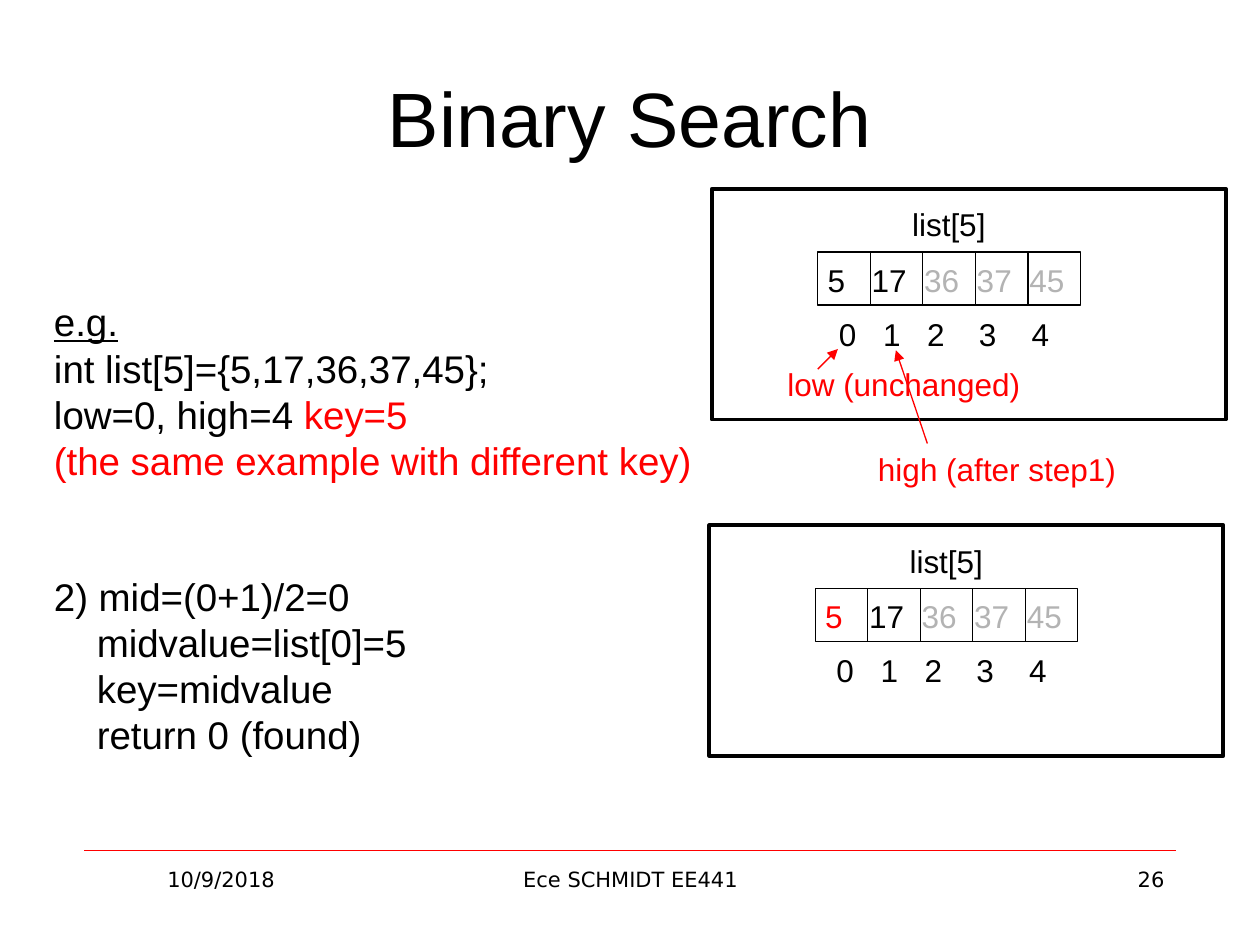
from dataclasses import dataclass

from lxml.etree import SubElement
from pptx import Presentation
from pptx.dml.color import RGBColor
from pptx.enum.shapes import MSO_CONNECTOR as Connector, MSO_SHAPE as Shape
from pptx.enum.text import MSO_ANCHOR as Anchor, PP_ALIGN as Align
from pptx.oxml.ns import qn
from pptx.util import Inches, Pt


@dataclass(frozen=True)
class Theme:
    black: str = "000000"
    red: str = "FF0000"
    gray: str = "B3B3B3"
    font: str = "Arial"
    footer_font: str = "DejaVu Sans"
    title: int = 44
    body: int = 22
    label: int = 18
    footer: int = 12


THEME = Theme()
CELL = 0.417


class SlideBuilder:
    def __init__(self, presentation, theme):
        self.theme = theme
        self.slide = presentation.slides.add_slide(presentation.slide_layouts[6])
        self.shapes = self.slide.shapes

    def start_group(self):
        self.shapes = self.slide.shapes.add_group_shape().shapes

    def text(self, box, paragraphs, size, font=None, anchor=Anchor.TOP, tabs=()):
        """Each paragraph is (runs, format values); each run is (text, font values)."""
        frame = self.shapes.add_textbox(*map(Inches, box)).text_frame
        frame.word_wrap = True
        frame.vertical_anchor = anchor
        for index, (runs, paragraph_format) in enumerate(paragraphs):
            paragraph = frame.paragraphs[0] if index == 0 else frame.add_paragraph()
            self.set_layout(paragraph, paragraph_format, tabs)
            for content, values in runs:
                run = paragraph.add_run()
                run.text = content
                style = {"name": font or self.theme.font, "size": Pt(size),
                         "color": self.theme.black} | values
                run.font.color.rgb = RGBColor.from_string(style.pop("color"))
                for name, value in style.items():
                    setattr(run.font, name, value)

    def set_layout(self, paragraph, values, tabs):
        properties = paragraph._p.get_or_add_pPr()
        values = dict(values)
        if "indent" in values:
            properties.set("marL", str(Inches(values.pop("indent"))))
        for name, value in values.items():
            setattr(paragraph, name, value)
        if tabs:
            tab_list = SubElement(properties, qn("a:tabLst"))
            for position in tabs:
                SubElement(tab_list, qn("a:tab"), pos=str(Inches(position)), algn="l")

    def label(self, box, content, color=THEME.black, tabs=()):
        self.text(box, [([(content, {"color": color})], {})], self.theme.label, tabs=tabs)

    def frame(self, box, width):
        shape = self.shapes.add_shape(Shape.RECTANGLE, *map(Inches, box))
        shape.shadow.inherit = False
        shape.fill.background()
        shape.line.color.rgb = RGBColor.from_string(self.theme.black)
        shape.line.width = Pt(width)

    def line(self, start, end, color, width=0.75, arrow=False):
        connector = self.shapes.add_connector(
            Connector.STRAIGHT, *map(Inches, (*start, *end)))
        connector.line.color.rgb = RGBColor.from_string(color)
        connector.line.width = Pt(width)
        if arrow:
            SubElement(connector.line._get_or_add_ln(), qn("a:tailEnd"), type="triangle")
        SubElement(connector._element.spPr, qn("a:effectLst"))

    def array_panel(self, left, top, first_color):
        """Draw a framed five-cell array with its name and indices."""
        theme = self.theme
        self.start_group()
        array_left, array_top = left + 0.84, top + 0.5
        self.frame((array_left, array_top, 5 * CELL, 0.42), 0.75)
        for column in range(1, 5):
            x = array_left + column * CELL
            self.line((x, array_top), (x, array_top + 0.42), theme.black)
        self.label((left + 1.49, top + 0.08, 0.92, 0.4), "list[5]")
        self.label((left + 0.91, top + 0.95, 1.98, 0.4), "0\t1\t2\t3\t4",
                   tabs=(0.35, 0.7, 1.11, 1.53))
        runs = [("5\t", {"color": first_color}), ("17\t", {}),
                ("36\t37\t45", {"color": theme.gray})]
        self.text((left + 0.82, top + 0.52, 2.14, 0.4), [(runs, {})], theme.label,
                  tabs=[0.35 + step * CELL for step in range(4)])
        self.frame((left, top, 4.08, 1.83), 2.25)


def body_paragraphs(theme):
    red = {"color": theme.red}
    lines = [
        ([("e.g.", {"underline": True})], {"space_before": Pt(0)}),
        ([("int list[5]={5,17,36,37,45};", {})], {}),
        ([("low=0, high=4 ", {}), ("key=5", red)], {}),
        ([("(the same example with different key)", red)], {}),
        ([("2) mid=(0+1)/2=0", {})], {"space_before": Pt(56.4)}),
    ]
    for step in ("midvalue=list[0]=5", "key=midvalue", "return 0 (found)"):
        lines.append(([(step, {})], {"indent": 0.34}))
    shared = {"line_spacing": 0.8, "space_before": Pt(5.3)}
    return [(runs, shared | values) for runs, values in lines]


def main():
    presentation = Presentation()
    presentation.slide_width, presentation.slide_height = Inches(10), Inches(7.5)
    theme = THEME
    builder = SlideBuilder(presentation, theme)

    builder.line((0.67, 6.75), (9.33, 6.75), theme.red, 0.25)
    builder.text((0.5, 0.3, 9, 1.25),
                 [([("Binary Search", {})], {"alignment": Align.CENTER})],
                 theme.title, anchor=Anchor.MIDDLE)
    for left, width, content, alignment in (
            (0.67, 2.17, "10/9/2018", Align.CENTER),
            (3.42, 3.17, "Ece SCHMIDT EE441", Align.CENTER),
            (7.17, 2.17, "26", Align.RIGHT)):
        builder.text((left, 6.83, width, 0.52),
                     [([(content, {})], {"alignment": alignment})],
                     theme.footer, theme.footer_font)
    builder.text((0.33, 2.39, 9.42, 4.61), body_paragraphs(theme), theme.body)

    builder.array_panel(5.65, 1.5, theme.black)
    builder.label((6.15, 2.85, 2.08, 0.4), "low (unchanged)", theme.red)
    builder.label((6.87, 3.52, 2.17, 0.4), "high (after step1)", theme.red)
    builder.line((6.49, 2.93), (6.65, 2.77), theme.red, arrow=True)
    builder.line((7.36, 3.52), (7.11, 2.78), theme.red, arrow=True)
    builder.array_panel(5.63, 4.17, theme.red)

    presentation.save("out.pptx")


if __name__ == "__main__":
    main()
